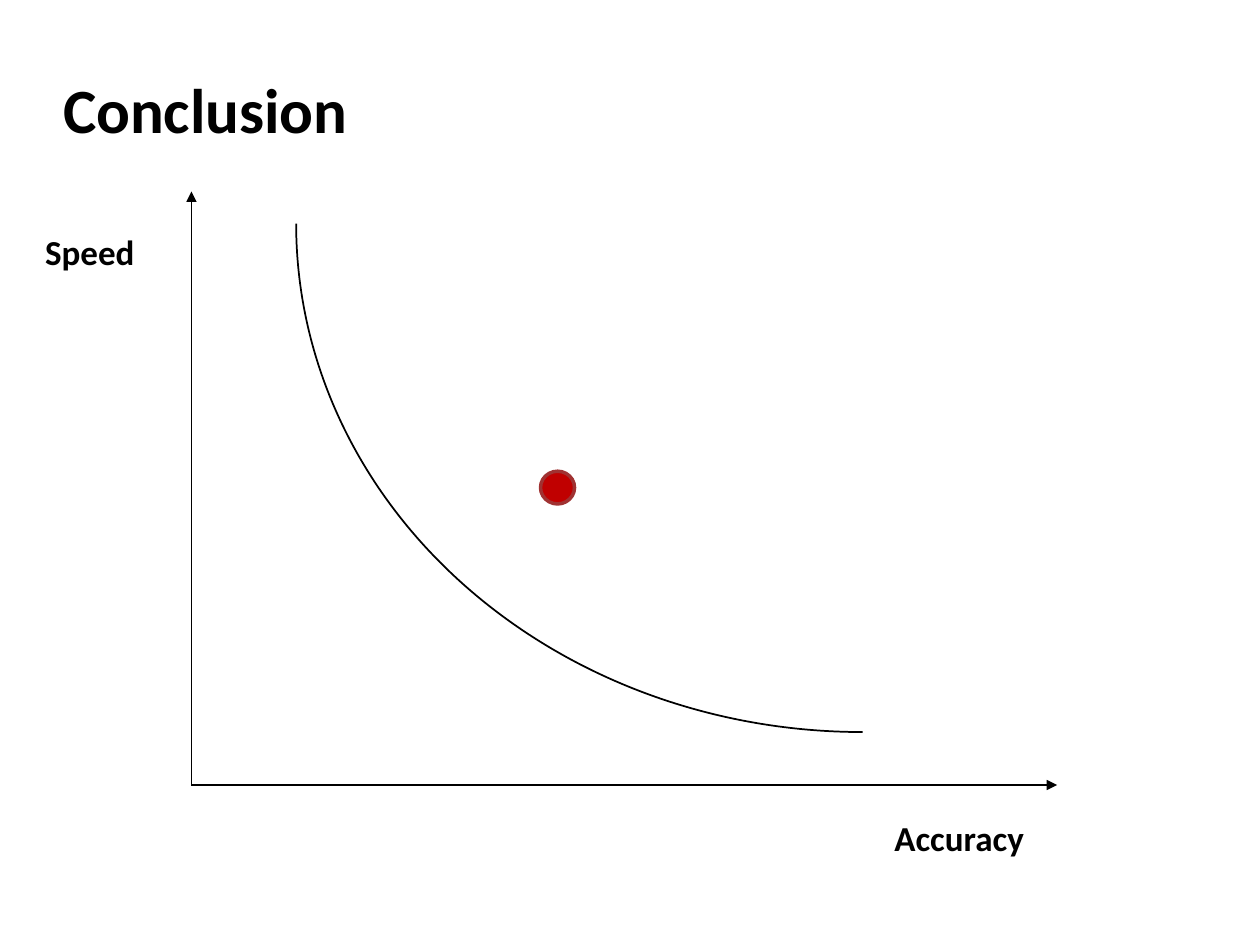
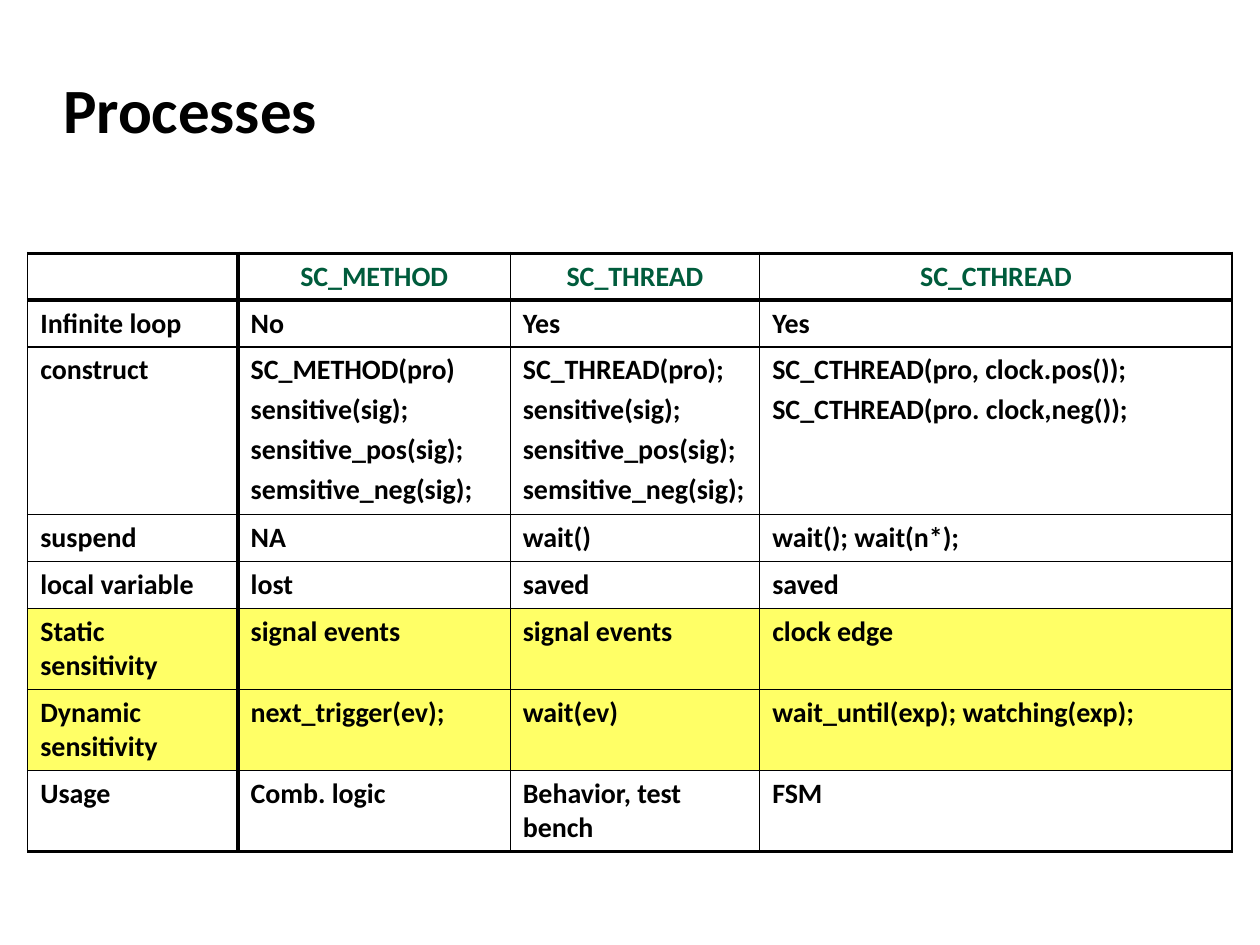
from lxml.etree import SubElement
from pptx import Presentation
from pptx.dml.color import RGBColor
from pptx.enum.shapes import MSO_CONNECTOR, MSO_SHAPE
from pptx.enum.text import MSO_ANCHOR, MSO_AUTO_SIZE, PP_ALIGN
from pptx.oxml.ns import qn
from pptx.util import Inches, Pt

COLORS = {
    "background": "FFFFFF",
    "ink": "000000",
    "header": "005C3C",
    "highlight": "FFFF66",
    "dot": "C00000",
    "dot_edge": "A03232",
}
FONT = "Calibri"
THIN, THICK = 1, 2.25
TITLE_ONLY = 5

COLUMN_WIDTHS = [1.67, 2.16, 1.98, 3.75]
ROW_HEIGHTS = [0.37, 0.37, 1.33, 0.37, 0.37, 0.64, 0.64, 0.64]
HIGHLIGHTED_ROWS = {5, 6}
SENSITIVE_LINES = "sensitive(sig);\nsensitive_pos(sig);\nsemsitive_neg(sig);"
PROCESS_ROWS = [
    ["", "SC_METHOD", "SC_THREAD", "SC_CTHREAD"],
    ["Infinite loop", "No", "Yes", "Yes"],
    ["construct", f"SC_METHOD(pro)\n{SENSITIVE_LINES}", f"SC_THREAD(pro);\n{SENSITIVE_LINES}",
     "SC_CTHREAD(pro, clock.pos());\nSC_CTHREAD(pro. clock,neg());"],
    ["suspend", "NA", "wait()", "wait(); wait(n*);"],
    ["local variable", "lost", "saved", "saved"],
    ["Static sensitivity", "signal events", "signal events", "clock edge"],
    ["Dynamic sensitivity", "next_trigger(ev);", "wait(ev)", "wait_until(exp); watching(exp);"],
    ["Usage", "Comb. logic", "Behavior, test bench", "FSM"],
]


class Deck:
    def __init__(self):
        self.presentation = Presentation()
        self.presentation.slide_width = Inches(10)
        self.presentation.slide_height = Inches(7.5)
        self.slide = None

    def color(self, name):
        return RGBColor.from_string(COLORS[name])

    def style(self, paragraph, size, color="ink", align=PP_ALIGN.LEFT):
        paragraph.alignment = align
        font = paragraph.font
        font.name, font.size, font.bold = FONT, Pt(size), True
        font.color.rgb = self.color(color)

    def add_slide(self, title):
        layout = self.presentation.slide_layouts[TITLE_ONLY]
        self.slide = self.presentation.slides.add_slide(layout)
        fill = self.slide.background.fill
        fill.solid()
        fill.fore_color.rgb = self.color("background")
        shape = self.slide.shapes.title
        shape.left, shape.top = Inches(0.4), Inches(0.42)
        shape.width, shape.height = Inches(9.19), Inches(0.83)
        frame = shape.text_frame
        frame.text = title
        frame.margin_left = frame.margin_right = frame.margin_top = Inches(0.1)
        frame.margin_bottom = Inches(0.05)
        frame.vertical_anchor = MSO_ANCHOR.MIDDLE
        self.style(frame.paragraphs[0], 36)

    def add_label(self, text, left, top, width):
        shape = self.slide.shapes.add_textbox(
            Inches(left), Inches(top), Inches(width), Inches(0.44))
        frame = shape.text_frame
        frame.text = text
        frame.word_wrap = True
        frame.auto_size = MSO_AUTO_SIZE.SHAPE_TO_FIT_TEXT
        self.style(frame.paragraphs[0], 20)

    def add_arrow(self, start, end):
        connector = self.slide.shapes.add_connector(
            MSO_CONNECTOR.STRAIGHT, *map(Inches, start + end))
        connector.line.color.rgb = self.color("ink")
        connector.line.width = Pt(THIN)
        SubElement(connector.line._get_or_add_ln(), qn("a:tailEnd"), type="triangle")
        SubElement(connector._element.spPr, qn("a:effectLst"))

    def add_shape(self, kind, left, top, width, height, edge, edge_width, fill=None, rotation=0):
        shape = self.slide.shapes.add_shape(
            kind, Inches(left), Inches(top), Inches(width), Inches(height))
        shape.shadow.inherit = False
        shape.rotation = rotation
        if fill:
            shape.fill.solid()
            shape.fill.fore_color.rgb = self.color(fill)
        else:
            shape.fill.background()
        shape.line.color.rgb = self.color(edge)
        shape.line.width = Pt(edge_width)

    def add_borders(self, cell, widths):
        properties = cell._tc.get_or_add_tcPr()
        for side, width in widths.items():
            line = SubElement(properties, qn(f"a:ln{side}"), w=str(Pt(width)))
            fill = SubElement(line, qn("a:solidFill"))
            SubElement(fill, qn("a:srgbClr"), val=COLORS["ink"])

    def fill_cell(self, cell, text, is_header, background):
        cell.text = text
        for index, paragraph in enumerate(cell.text_frame.paragraphs):
            if is_header:
                self.style(paragraph, 16, "header", PP_ALIGN.CENTER)
            else:
                self.style(paragraph, 16)
            if index:
                paragraph.space_before = Pt(3.2)
            if not text:
                SubElement(paragraph._p, qn("a:endParaRPr"), sz="1600")
        cell.fill.solid()
        cell.fill.fore_color.rgb = self.color(background)

    def add_table(self, rows, left, top, column_widths, row_heights, highlighted):
        table = self.slide.shapes.add_table(
            len(rows), len(column_widths), Inches(left), Inches(top),
            Inches(sum(column_widths)), Inches(sum(row_heights))).table
        table.first_row = table.horz_banding = False
        for column, width in zip(table.columns, column_widths):
            column.width = Inches(width)
        last_row = len(rows) - 1
        for row_index, texts in enumerate(rows):
            table.rows[row_index].height = Inches(row_heights[row_index])
            background = "highlight" if row_index in highlighted else "background"
            for column_index, text in enumerate(texts):
                cell = table.cell(row_index, column_index)
                self.add_borders(cell, {
                    "L": THICK if column_index == 1 else THIN,
                    "R": THICK if column_index == 0 else THIN,
                    "T": THICK if row_index in (0, 1) else THIN,
                    "B": THICK if row_index in (0, last_row) else THIN,
                })
                self.fill_cell(cell, text, row_index == 0, background)


def build_conclusion(deck):
    deck.add_slide("Conclusion")
    origin = (1.52, 6.23)
    deck.add_arrow(origin, (1.52, 1.52))
    deck.add_arrow(origin, (8.39, 6.23))
    deck.add_label("Accuracy", 7, 6.43, 1.26)
    deck.add_label("Speed", 0.26, 1.78, 1.06)
    deck.add_shape(MSO_SHAPE.ARC, 2.35, -2.26, 8.99, 8.07, "ink", THIN, rotation=180)
    deck.add_shape(MSO_SHAPE.OVAL, 4.29, 3.74, 0.27, 0.26, "dot_edge", 2, fill="dot")


def build_processes(deck):
    deck.add_slide("Processes")
    deck.add_table(PROCESS_ROWS, 0.22, 2.01, COLUMN_WIDTHS, ROW_HEIGHTS, HIGHLIGHTED_ROWS)


def main():
    deck = Deck()
    build_conclusion(deck)
    build_processes(deck)
    deck.presentation.save("out.pptx")


if __name__ == "__main__":
    main()
